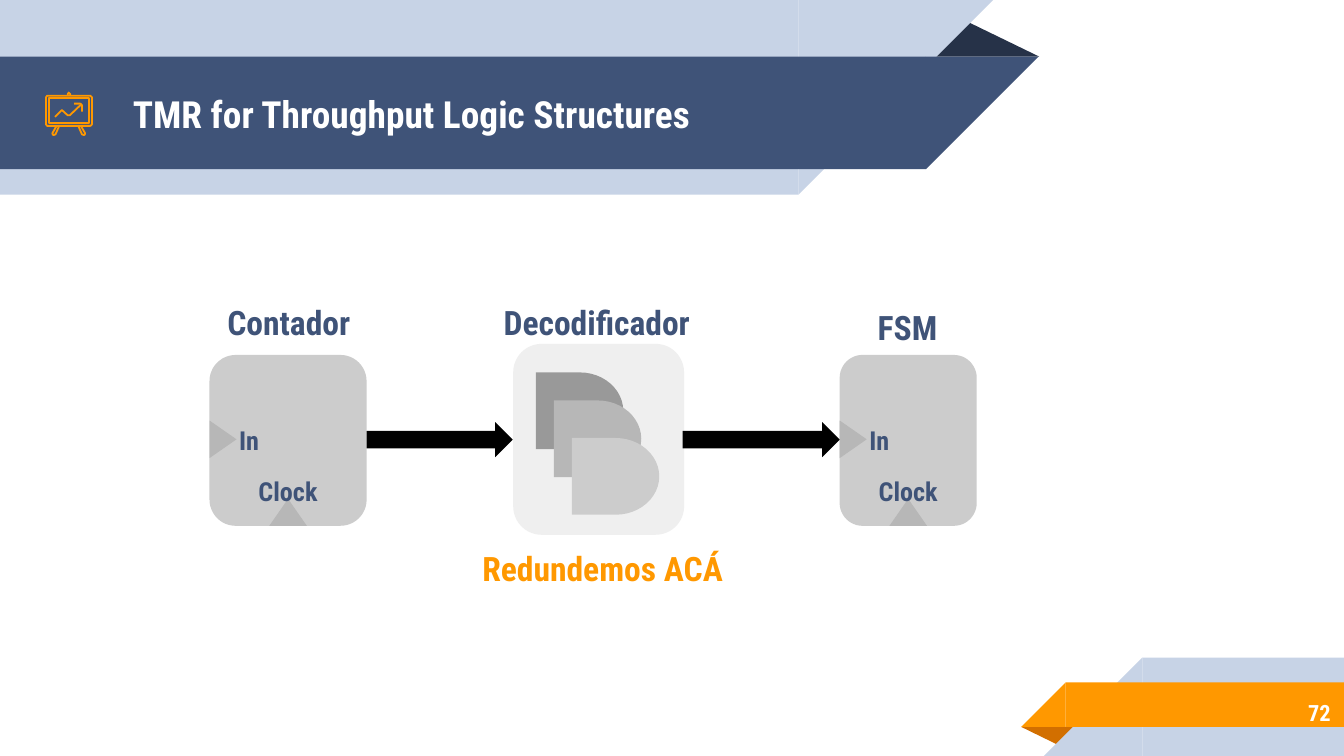
from dataclasses import dataclass

from pptx import Presentation
from pptx.dml.color import RGBColor
from pptx.enum.shapes import MSO_SHAPE
from pptx.enum.text import MSO_ANCHOR, PP_ALIGN
from pptx.util import Cm, Pt


@dataclass(frozen=True)
class Theme:
    font: str = "Roboto Condensed"
    navy: str = "3F5378"
    dark_navy: str = "263248"
    pale_blue: str = "C7D3E6"
    orange: str = "FF9800"
    dark_orange: str = "D26F00"
    white: str = "FFFFFF"
    black: str = "000000"
    panel: str = "EFEFEF"
    light_gray: str = "CCCCCC"
    mid_gray: str = "B7B7B7"
    dark_gray: str = "999999"
    title_size: int = 20
    caption_size: int = 18
    pin_size: int = 14
    number_size: int = 12
    icon_line: float = 0.96


class SlideBuilder:
    """Draws styled elements on one slide; all lengths are centimetres."""

    def __init__(self, slide, theme):
        self.slide = slide
        self.theme = theme

    def shape(self, kind, left, top, width, height, color, rotation=0):
        shape = self.slide.shapes.add_shape(
            kind, Cm(left), Cm(top), Cm(width), Cm(height))
        shape.shadow.inherit = False
        shape.fill.solid()
        shape.fill.fore_color.rgb = RGBColor.from_string(color)
        shape.line.fill.background()
        shape.rotation = rotation
        return shape

    def text(self, text, left, top, width, height, size, color,
             align=PP_ALIGN.CENTER):
        box = self.slide.shapes.add_textbox(
            Cm(left), Cm(top), Cm(width), Cm(height))
        frame = box.text_frame
        frame.word_wrap = True
        frame.vertical_anchor = MSO_ANCHOR.MIDDLE
        frame.margin_left = frame.margin_right = Cm(0.25)
        frame.margin_top = frame.margin_bottom = Cm(0.25)
        paragraph = frame.paragraphs[0]
        paragraph.text = text
        paragraph.alignment = align
        paragraph.font.name = self.theme.font
        paragraph.font.size = Pt(size)
        paragraph.font.bold = True
        paragraph.font.color.rgb = RGBColor.from_string(color)

    def caption(self, text, center, top, width, color):
        self.text(text, center - width / 2, top, width, 0.89,
                  self.theme.caption_size, color)

    def header_band(self, top, width, height, color):
        self.shape(MSO_SHAPE.RECTANGLE, 0, top, width, height, color)
        self.shape(MSO_SHAPE.RIGHT_TRIANGLE, width, top, height, height, color, 90)

    def footer_band(self, left, top, height, color):
        self.shape(MSO_SHAPE.RECTANGLE, left, top, 25.4 - left, height, color)
        self.shape(MSO_SHAPE.RIGHT_TRIANGLE, left - height, top, height, height,
                   color, 270)

    def fold(self, left, top, width, height, color, rotation=0):
        shape = self.shape(MSO_SHAPE.ISOSCELES_TRIANGLE, left, top, width, height,
                           color, rotation)
        shape.adjustments[0] = 0.324

    def outline(self, points, close=False):
        points = [(Cm(x), Cm(y)) for x, y in points]
        builder = self.slide.shapes.build_freeform(*points[0], scale=1.0)
        builder.add_line_segments(points[1:], close=close)
        shape = builder.convert_to_shape()
        shape.shadow.inherit = False
        shape.fill.background()
        shape.line.color.rgb = RGBColor.from_string(self.theme.orange)
        shape.line.width = Pt(self.theme.icon_line)

    def clocked_block(self, left, width):
        """Rounded block with an input pin and a clock pin."""
        theme = self.theme
        top, height = 6.71, 3.23
        pin_width, pin_height = 0.71, 0.51
        center = left + width / 2
        self.shape(MSO_SHAPE.ROUNDED_RECTANGLE, left, top, width, height,
                   theme.light_gray)
        self.shape(MSO_SHAPE.ISOSCELES_TRIANGLE, center - pin_width / 2,
                   top + height - pin_height, pin_width, pin_height, theme.mid_gray)
        self.shape(MSO_SHAPE.ISOSCELES_TRIANGLE, left - 0.1, 8.05,
                   pin_width, pin_height, theme.mid_gray, 90)
        self.text("Clock", center - 0.92, 8.84, 1.84, 0.89,
                  theme.pin_size, theme.navy)
        self.text("In", left + 0.24, 7.87, 1.02, 0.89, theme.pin_size, theme.navy)


def main():
    theme = Theme()
    presentation = Presentation()
    presentation.slide_width = Cm(25.4)
    presentation.slide_height = Cm(14.29)
    slide = presentation.slides.add_slide(presentation.slide_layouts[6])
    builder = SlideBuilder(slide, theme)

    # Header and footer ribbons
    builder.fold(17.48, 0.36, 2.16, 0.71, theme.dark_navy)
    builder.header_band(0, 15.09, 3.68, theme.pale_blue)
    builder.header_band(1.07, 17.5, 2.13, theme.navy)
    builder.fold(19.3, 13.74, 1.09, 0.36, theme.dark_orange, 180)
    builder.footer_band(21.59, 12.43, 1.86, theme.pale_blue)
    builder.footer_band(20.14, 12.9, 0.84, theme.orange)

    # Title and slide number
    builder.text("TMR for Throughput Logic Structures", 2.26, 1.09, 15.19, 2.13,
                 theme.title_size, theme.white, PP_ALIGN.LEFT)
    builder.text("72", 21.26, 13.03, 4.14, 0.89,
                 theme.number_size, theme.white, PP_ALIGN.RIGHT)

    # Easel icon: board, inner frame, knob, legs, trend line, arrow tip
    builder.outline([(0.89, 1.81), (1.71, 1.81), (1.74, 1.84), (1.74, 2.35),
                     (1.71, 2.38), (0.89, 2.38), (0.87, 2.35), (0.87, 1.84)], True)
    builder.outline([(0.92, 1.86), (1.69, 1.86), (1.69, 2.33), (0.92, 2.33)], True)
    builder.outline([(1.33, 1.8), (1.33, 1.78), (1.3, 1.75), (1.28, 1.78),
                     (1.28, 1.8)])
    leg = [(1.07, 2.38), (0.99, 2.52), (1.0, 2.55), (1.03, 2.55), (1.05, 2.54),
           (1.12, 2.38)]
    builder.outline(leg)
    builder.outline([(2.6 - x, y) for x, y in leg])
    builder.outline([(1.53, 1.98), (1.32, 2.18), (1.28, 2.18), (1.17, 2.08),
                     (1.04, 2.21)])
    builder.outline([(1.4, 1.96), (1.52, 1.96), (1.55, 1.99), (1.55, 2.11)])

    # Decoder with its three redundant gates
    builder.shape(MSO_SHAPE.ROUNDED_RECTANGLE, 9.7, 6.5, 3.23, 3.61, theme.panel)
    gates = [(7.04, theme.dark_gray), (7.57, theme.mid_gray),
             (8.28, theme.light_gray)]
    for index, (top, color) in enumerate(gates):
        builder.shape(MSO_SHAPE.FLOWCHART_DELAY, 10.13 + 0.34 * index, top,
                      1.65, 1.45, color)

    # Counter, state machine and the arrows between the stages
    builder.clocked_block(3.96, 2.97)
    builder.clocked_block(15.87, 2.59)
    for left, width in [(6.93, 2.76), (12.9, 2.97)]:
        builder.shape(MSO_SHAPE.RIGHT_ARROW, left, 7.98, width, 0.66, theme.black)

    # Captions
    builder.caption("Contador", 5.46, 5.64, 4.27, theme.navy)
    builder.caption("Decodificador", 11.28, 5.64, 5.03, theme.navy)
    builder.caption("FSM", 17.15, 5.73, 4.37, theme.navy)
    builder.caption("Redundemos ACÁ", 11.39, 10.29, 5.66, theme.orange)

    presentation.save("out.pptx")


if __name__ == "__main__":
    main()
